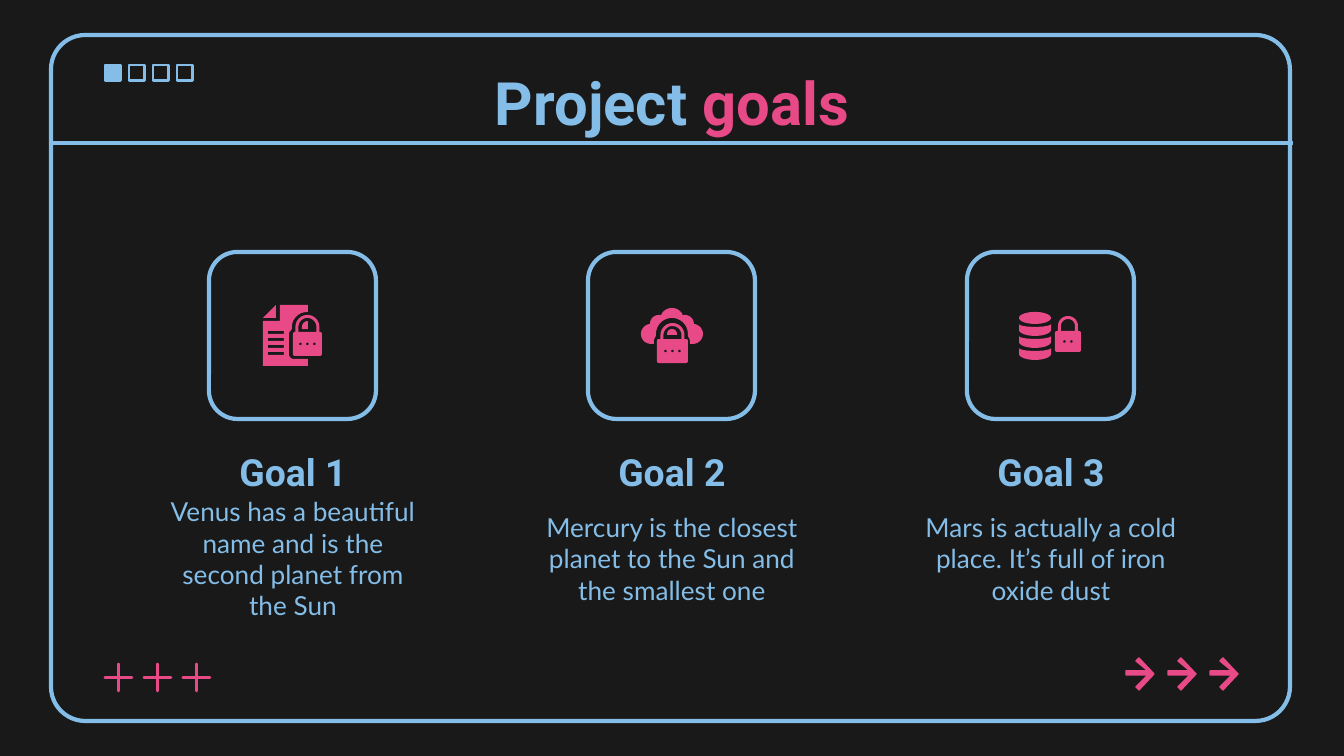
from dataclasses import dataclass
from math import cos, radians, sin

from lxml.etree import SubElement
from pptx import Presentation
from pptx.dml.color import RGBColor
from pptx.enum.shapes import MSO_CONNECTOR as Connector, MSO_SHAPE as Preset
from pptx.enum.text import MSO_ANCHOR as Anchor, PP_ALIGN as Align
from pptx.oxml.ns import qn
from pptx.util import Pt

PX = 914400 / 134.4
COLORS = {"night": "191919", "sky": "84BDE7", "pink": "E84987"}

Point = tuple[float, float]
Contour = list[Point]


@dataclass(frozen=True)
class Goal:
    center: int
    heading: str
    description: str


@dataclass(frozen=True)
class Padlock:
    left: int
    top: int
    width: int
    height: int
    shackle_y: int
    shackle_r: int
    dots: int


GOALS = [
    Goal(293, "Goal 1", "Venus has a beautiful name and is the second planet from the Sun"),
    Goal(672, "Goal 2", "Mercury is the closest planet to the Sun and the smallest one"),
    Goal(1051, "Goal 3", "Mars is actually a cold place. It’s full of iron oxide dust"),
]
PADLOCKS = [
    Padlock(293, 332, 29, 24, 327, 12, 3),
    Padlock(657, 339, 31, 24, 335, 12, 3),
    Padlock(1055, 331, 26, 21, 326, 10, 2),
]
ARROW = [(13, 0), (10, 3), (22, 13), (0, 13), (0, 17), (22, 17), (10, 29), (13, 32), (28, 16)]


def emu(length: float) -> int:
    return round(length * PX)


def color(name: str) -> RGBColor:
    return RGBColor.from_string(COLORS[name])


def paint(shape, fill: str | None, line: str | None = None, weight: float = 0) -> None:
    shape.shadow.inherit = False
    if fill:
        shape.fill.solid()
        shape.fill.fore_color.rgb = color(fill)
    else:
        shape.fill.background()
    if line:
        shape.line.color.rgb = color(line)
        shape.line.width = Pt(weight)
    else:
        shape.line.fill.background()


def preset(slide, kind, left: int, top: int, width: int, height: int,
           fill: str | None, line: str, weight: float, adjust: float | None = None) -> None:
    shape = slide.shapes.add_shape(kind, emu(left), emu(top), emu(width), emu(height))
    if adjust is not None:
        shape.adjustments[0] = adjust
    paint(shape, fill, line, weight)


def outline(slide, contours: list[Contour], line: str | None = None, weight: float = 0) -> None:
    paths = [[(emu(x), emu(y)) for x, y in contour] for contour in contours]
    builder = slide.shapes.build_freeform(*paths[0][0])
    builder.add_line_segments(paths[0][1:], close=True)
    for path in paths[1:]:
        builder.move_to(*path[0])
        builder.add_line_segments(path[1:], close=True)
    paint(builder.convert_to_shape(), "pink", line, weight)


def arc(x: float, y: float, rx: float, ry: float, start: int, end: int) -> Contour:
    steps = max(6, abs(end - start) // 12)
    angles = [radians(start + (end - start) * i / steps) for i in range(steps + 1)]
    return [(x + rx * cos(a), y + ry * sin(a)) for a in angles]


def arch(x: float, y: float, radius: float, base: float) -> Contour:
    return [(x - radius, base), *arc(x, y, radius, radius, 180, 360), (x + radius, base)]


def draw_padlock(slide, lock: Padlock) -> None:
    right, bottom = lock.left + lock.width, lock.top + lock.height
    center = lock.left + lock.width / 2
    body = [
        *arch(center, lock.shackle_y, lock.shackle_r, lock.top),
        *arc(right - 2, lock.top + 2, 2, 2, 270, 360),
        *arc(right - 2, bottom - 2, 2, 2, 0, 90),
        *arc(lock.left + 2, bottom - 2, 2, 2, 90, 180),
        *arc(lock.left + 2, lock.top + 2, 2, 2, 180, 270),
    ]
    opening = arch(center, lock.shackle_y, lock.shackle_r - 3, lock.top)
    dots = [arc(center + 7 * (i - (lock.dots - 1) / 2), lock.top + lock.height / 2, 1.3, 1.3, 0, 360)
            for i in range(lock.dots)]
    outline(slide, [body, opening, *dots])


def draw_document(slide) -> None:
    outline(slide, [[(276, 305), (276, 318), (263, 318)]])
    page = [(280, 305), (280, 321), (263, 321), (263, 366), (308, 366), (308, 359),
            *arc(294, 354, 5, 5, 90, 180), (289, 333), (292, 329),
            *arc(307, 327, 15, 15, 180, 270), (308, 312), (308, 305)]
    rows = [[(268, y), (284, y), (284, y + 3), (268, y + 3)] for y in range(331, 353, 7)]
    outline(slide, [page, *rows])
    outline(slide, [[*arc(308, 327, 6, 6, 180, 270), (308, 329), (302, 329)]])


def draw_cloud(slide) -> None:
    left_half = [(656, 336), (654, 340), (654, 344),
                 *arc(651, 334, 10, 10, 90, 255),
                 *arc(659, 324, 9, 9, 180, 285),
                 *arc(672, 320, 12, 12, 210, 270)]
    right_half = [(1344 - x, y) for x, y in reversed(left_half)]
    outline(slide, [left_half + right_half + arc(672, 334, 16, 16, 360, 180)])
    outline(slide, [arch(672, 334, 5, 335)])


def draw_database(slide) -> None:
    outline(slide, [arc(1035, 318, 16, 6, 0, 360)])
    for y in range(324, 349, 12):
        outline(slide, [arc(1035, y, 16, 3, 180, 0) + arc(1035, y + 6, 16, 6, 0, 180)])


def write(slide, left: int, top: int, width: int, height: int, runs: list[tuple[str, str]],
          font: str, size: int, bold: bool, anchor) -> None:
    frame = slide.shapes.add_textbox(emu(left), emu(top), emu(width), emu(height)).text_frame
    frame.word_wrap = True
    frame.vertical_anchor = anchor
    frame.margin_left = frame.margin_right = frame.margin_top = frame.margin_bottom = emu(13)
    paragraph = frame.paragraphs[0]
    paragraph.alignment = Align.CENTER
    paragraph.font.name = font
    paragraph.font.size = Pt(size)
    paragraph.font.bold = bold
    if len(runs) == 1:
        paragraph.font.color.rgb = color(runs[0][1])
    for words, tint in runs:
        run = paragraph.add_run()
        run.text = words
        if len(runs) > 1:
            run.font.color.rgb = color(tint)


def draw_window(slide) -> None:
    preset(slide, Preset.ROUNDED_RECTANGLE, 51, 35, 1239, 686, None, "sky", 2.25, 0.05)
    divider = slide.shapes.add_connector(Connector.STRAIGHT, emu(50), emu(143), emu(1293), emu(143))
    divider.line.color.rgb = color("sky")
    divider.line.width = Pt(2.25)
    SubElement(divider._element.spPr, qn("a:effectLst"))
    for i in range(4):
        preset(slide, Preset.RECTANGLE, 105 + 24 * i, 65, 16, 16, None if i else "sky", "sky", 1.5)


def draw_goal(slide, goal: Goal) -> None:
    preset(slide, Preset.ROUNDED_RECTANGLE, goal.center - 84, 252, 167, 167, None, "sky", 2.25, 0.17)
    left = goal.center - 143
    write(slide, left, 433, 286, 78, [(goal.heading, "sky")], "Roboto", 20, True, Anchor.MIDDLE)
    write(slide, left, 509, 286, 99, [(goal.description, "sky")], "Lato", 14, False, Anchor.MIDDLE)


def main() -> None:
    deck = Presentation()
    deck.slide_width, deck.slide_height = emu(1344), emu(756)
    slide = deck.slides.add_slide(deck.slide_layouts[6])
    slide.background.fill.solid()
    slide.background.fill.fore_color.rgb = color("night")

    draw_window(slide)
    write(slide, 106, 66, 1132, 85, [("Project ", "sky"), ("goals", "pink")],
          "Roboto", 32, True, Anchor.BOTTOM)
    for goal in GOALS:
        draw_goal(slide, goal)

    draw_document(slide)
    draw_cloud(slide)
    draw_database(slide)
    for lock in PADLOCKS:
        draw_padlock(slide, lock)

    for i in range(3):
        outline(slide, [[(1126 + 42 * i + x, 658 + y) for x, y in ARROW]], "pink", 0.75)
        preset(slide, Preset.STAR_4_POINT, 105 + 39 * i, 664, 27, 27, "pink", "pink", 1.5, 0)

    deck.save("out.pptx")


if __name__ == "__main__":
    main()
